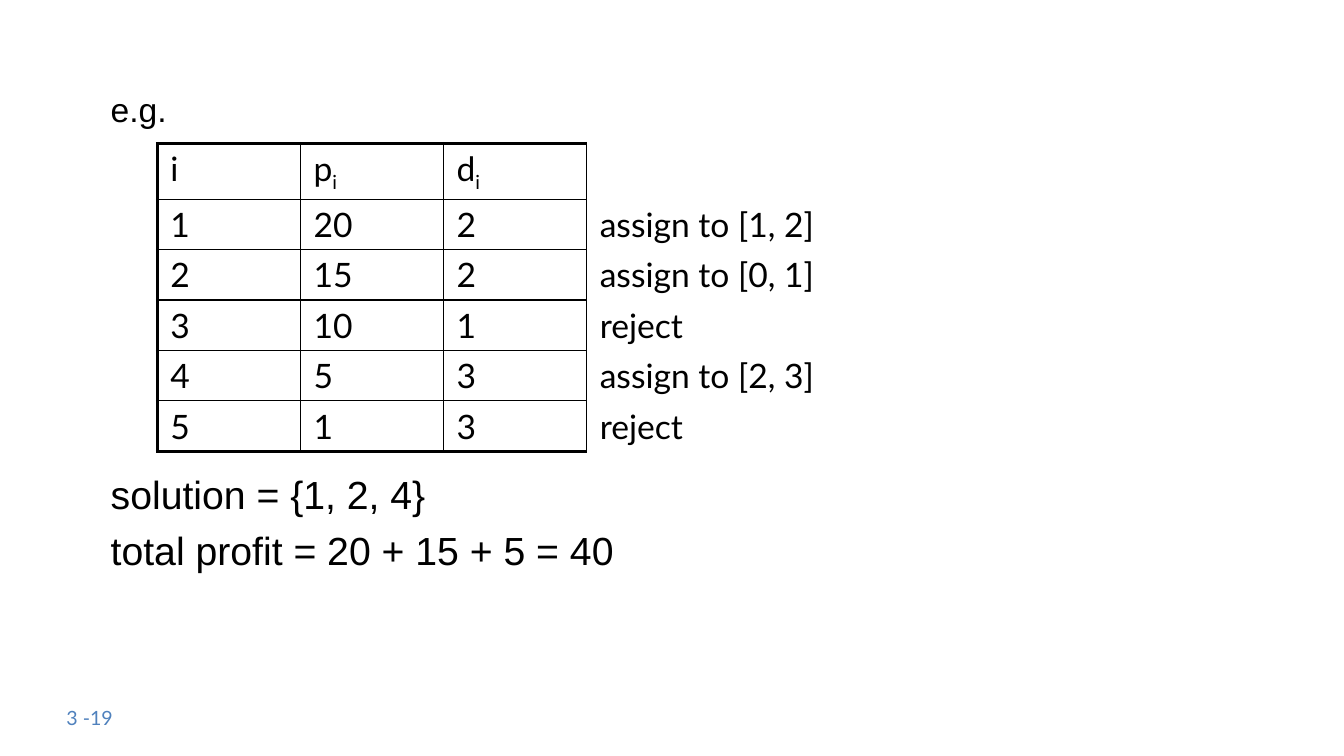
from lxml.etree import SubElement
from pptx import Presentation
from pptx.dml.color import RGBColor
from pptx.enum.text import MSO_ANCHOR
from pptx.oxml.ns import qn
from pptx.util import Inches, Pt

HEADERS = [("i", ""), ("p", "i"), ("d", "i"), ("", "")]
JOBS = [
    ("1", "20", "2", "assign to [1, 2]"),
    ("2", "15", "2", "assign to [0, 1]"),
    ("3", "10", "1", "reject"),
    ("4", "5", "3", "assign to [2, 3]"),
    ("5", "1", "3", "reject"),
]
COLUMN_WIDTHS = [1.42, 1.42, 1.42, 4.1]
ROW_HEIGHTS = [0.42] + [0.45] * len(JOBS)
BODY_LINES = [
    ("e.g.", 24, 0),
    ("solution = {1, 2, 4}", 28, 244),
    ("total profit = 20 + 15 + 5 = 40", 28, 6.4),
]


def color(value):
    return RGBColor.from_string(value)


class SlideBuilder:
    body_font = "Arial"
    table_font = "Lato"
    ink = "000000"
    accent = "4F81BD"
    thin = 1
    thick = 2.25

    def __init__(self, presentation):
        self.slide = presentation.slides.add_slide(presentation.slide_layouts[6])

    def format_run(self, run, font, size, ink):
        run.font.name = font
        run.font.size = Pt(size)
        run.font.color.rgb = color(ink)

    def text(self, left, top, width, height, lines, font, ink, anchor=MSO_ANCHOR.TOP):
        shape = self.slide.shapes.add_textbox(
            Inches(left), Inches(top), Inches(width), Inches(height))
        text_frame = shape.text_frame
        text_frame.word_wrap = True
        text_frame.vertical_anchor = anchor
        text_frame.text = "\n".join(line for line, _, _ in lines)
        for paragraph, (_, size, space_before) in zip(text_frame.paragraphs, lines):
            paragraph.space_before = Pt(space_before)
            self.format_run(paragraph.runs[0], font, size, ink)

    def border(self, cell, side, width):
        line = SubElement(cell._tc.get_or_add_tcPr(), qn(f"a:ln{side}"))
        if width:
            line.set("w", str(Pt(width)))
            fill = SubElement(line, qn("a:solidFill"))
            SubElement(fill, qn("a:srgbClr")).set("val", self.ink)
        else:
            SubElement(line, qn("a:noFill"))

    def cell_borders(self, cell, row, column, last_row, note_column):
        if column == note_column:
            widths = {"L": self.thin, "R": 0, "T": 0, "B": 0}
        else:
            widths = {
                "L": self.thick if column == 0 else self.thin,
                "R": self.thin,
                "T": self.thick if row == 0 else self.thin,
                "B": self.thick if row == last_row else self.thin,
            }
        for side, width in widths.items():
            self.border(cell, side, width)

    def cell_text(self, cell, base, subscript=""):
        cell.margin_left = cell.margin_right = Inches(0.13)
        cell.margin_top = cell.margin_bottom = Inches(0.05)
        paragraph = cell.text_frame.paragraphs[0]
        for content, baseline in ((base, 0), (subscript, -25000)):
            if content:
                run = paragraph.add_run()
                run.text = content
                self.format_run(run, self.table_font, 24, self.ink)
                if baseline:
                    run.font._element.set("baseline", str(baseline))

    def table(self, left, top, height):
        rows = [HEADERS] + [[(value, "") for value in job] for job in JOBS]
        shape = self.slide.shapes.add_table(
            len(rows), len(COLUMN_WIDTHS), Inches(left), Inches(top),
            Inches(sum(COLUMN_WIDTHS)), Inches(height))
        table = shape.table
        table.first_row = False
        table.horz_banding = False
        for column, width in zip(table.columns, COLUMN_WIDTHS):
            column.width = Inches(width)
        for row, row_height in zip(table.rows, ROW_HEIGHTS):
            row.height = Inches(row_height)
        shape.height = Inches(height)
        for row_index, row in enumerate(rows):
            for column_index, (base, subscript) in enumerate(row):
                cell = table.cell(row_index, column_index)
                self.cell_text(cell, base, subscript)
                self.cell_borders(cell, row_index, column_index,
                                  len(rows) - 1, len(COLUMN_WIDTHS) - 1)
                cell.fill.background()


def main():
    presentation = Presentation()
    presentation.slide_width = Inches(13.33)
    presentation.slide_height = Inches(7.5)
    builder = SlideBuilder(presentation)
    builder.text(0.56, 6.92, 3.11, 0.4, [("3 -19", 14, 0)],
                 builder.table_font, builder.accent, MSO_ANCHOR.MIDDLE)
    builder.text(1, 0.83, 11.33, 5.83, BODY_LINES, builder.body_font, builder.ink)
    builder.table(1.56, 1.42, 3)
    presentation.save("out.pptx")


if __name__ == "__main__":
    main()
